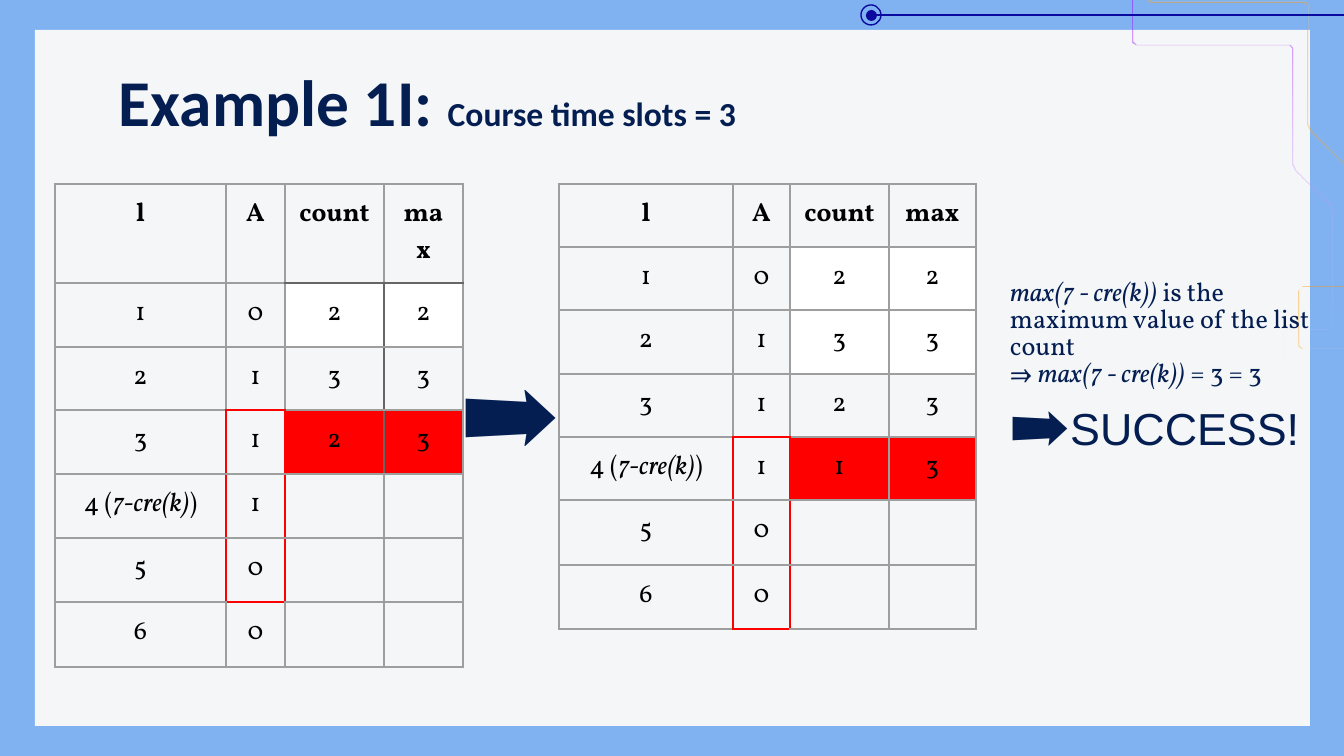
import pptx
import pptx.util
import pptx.dml.color
import pptx.enum.shapes
import pptx.enum.text
import pptx.oxml
import pptx.oxml.ns
from dataclasses import dataclass

PX = 914400 / 134.4
Shapes = pptx.enum.shapes.MSO_SHAPE
Align = pptx.enum.text.PP_ALIGN


@dataclass(frozen=True)
class Theme:
    sky: str = "80B2F1"
    paper: str = "F4F6F8"
    navy: str = "041E52"
    indigo: str = "0C0A9E"
    purple: str = "9900FF"
    orange: str = "FF9900"
    white: str = "FFFFFF"
    black: str = "000000"
    red: str = "FF0000"
    grid: str = "9E9E9E"
    dark_grid: str = "666666"
    head: str = "Calibri"
    body: str = "Vollkorn"
    plain: str = "Arial"
    title: int = 35
    subtitle: int = 18
    text: int = 14
    success: int = 24
    small_arrow: int = 31
    big_arrow: int = 51


T = Theme()

TITLE = [("Example 1I: ", T.title), ("Course time slots = 3", T.subtitle)]
HEADER = ["l", "A", "count", "max"]
LEVELS = ["1", "2", "3", ("4 (", "7-cre(k)", ")"), "5", "6"]
TABLES = [
    dict(x=55, y=184, cols=[171, 59, 99, 79], rows=[99, 64, 63, 64, 64, 64, 65],
         values=["022", "133", "123", "1", "0", "0"],
         white_rows=[1], red_row=3, dark_rows=[1, 2, 3]),
    dict(x=559, y=184, cols=[174, 57, 99, 87], rows=[63, 63, 64, 63, 63, 65, 64],
         values=["022", "133", "123", "113", "0", "0"],
         white_rows=[1, 2], red_row=4, dark_rows=[]),
]
NOTES = [
    [("max(7 - cre(k))", True), (" is the maximum value of the list count", False)],
    [("⇒ ", False), ("max(7 - cre(k))", True), (" = 3 = 3", False)],
]
TRACES = [
    (T.purple, 47, 0, [(1133, 1), (1133, 46), (1292, 46), (1292, 168), (1332, 208),
                       (1332, 330), (1283, 330), (1283, 391), (1332, 391)]),
    (T.orange, 41, 30, [(1148, 1), (1148, 3), (1307, 3), (1307, 127), (1343, 163)]),
    (T.orange, 41, 30, [(1343, 288), (1299, 288), (1299, 348), (1343, 348)]),
]


def emu(n):
    return pptx.util.Emu(round(n * PX))


def rgb(color):
    return pptx.dml.color.RGBColor.from_string(color)


def add_run(p, text, size, font=T.body, color=T.navy, bold=False, italic=False):
    r = p.add_run()
    r.text = text
    r.font.size = pptx.util.Pt(size)
    r.font.name = font
    r.font.color.rgb = rgb(color)
    r.font.bold = bold
    r.font.italic = italic


def add_text_box(s, x, y, w, h):
    tf = s.shapes.add_textbox(*map(emu, (x, y, w, h))).text_frame
    tf.word_wrap = True
    tf.margin_left = tf.margin_right = tf.margin_top = tf.margin_bottom = emu(13)
    return tf


def add_plain_shape(s, kind, x, y, w, h, fill=None, line=None):
    sp = s.shapes.add_shape(kind, *map(emu, (x, y, w, h)))
    sp.shadow.inherit = False
    if fill:
        sp.fill.solid()
        sp.fill.fore_color.rgb = rgb(fill)
    else:
        sp.fill.background()
    if line:
        sp.line.color.rgb = rgb(line)
        sp.line.width = pptx.util.Pt(0.75)
    else:
        sp.line.fill.background()


def soften(points, radius=3):
    result = [points[0]]
    for before, corner, after in zip(points, points[1:], points[2:]):
        for other in (before, after):
            dx, dy = other[0] - corner[0], other[1] - corner[1]
            step = min(radius / max(abs(dx), abs(dy)), 0.5)
            result.append((corner[0] + dx * step, corner[1] + dy * step))
    return result + [points[-1]]


def add_trace(s, color, start_alpha, end_alpha, points):
    side = soften(points)
    ribbon = side + [(x + 1, y - 1) for x, y in reversed(side)]
    fb = s.shapes.build_freeform(*ribbon[0], scale=PX)
    fb.add_line_segments(ribbon[1:], close=True)
    sp = fb.convert_to_shape()
    sp.shadow.inherit = False
    sp.line.fill.background()
    sp.fill.gradient()
    sp.fill.gradient_angle = 270
    stops = sp.fill.gradient_stops
    for stop, tone, alpha in zip(stops, (color, color if end_alpha else T.white),
                                 (start_alpha, end_alpha)):
        stop.color.rgb = rgb(tone)
    for node, alpha in zip(sp.element.iter(pptx.oxml.ns.qn("a:srgbClr")), (start_alpha, end_alpha)):
        node.append(pptx.oxml.parse_xml(
            f'<a:alpha {pptx.oxml.ns.nsdecls("a")} val="{alpha * 1000}"/>'))


def edge_colors(table):
    first = table["red_row"]
    edges = {("h", 1, c): T.dark_grid for c in (2, 3) if table["dark_rows"]}
    edges.update({("v", r, 3): T.dark_grid for r in table["dark_rows"]})
    edges.update({("v", r, c): T.red for r in range(first, first + 3) for c in (1, 2)})
    edges.update({("h", r, 1): T.red for r in (first, first + 3)})
    return edges


def set_borders(cell, r, c, edges):
    sides = [("L", ("v", r, c)), ("R", ("v", r, c + 1)),
             ("T", ("h", r, c)), ("B", ("h", r + 1, c))]
    tc_pr = cell._tc.get_or_add_tcPr()
    for i, (side, key) in enumerate(sides):
        tc_pr.insert(i, pptx.oxml.parse_xml(
            f'<a:ln{side} {pptx.oxml.ns.nsdecls("a")} w="19050"><a:solidFill>'
            f'<a:srgbClr val="{edges.get(key, T.grid)}"/></a:solidFill></a:ln{side}>'))


def add_count_table(s, table):
    cols, rows = table["cols"], table["rows"]
    grid = s.shapes.add_table(len(rows), len(cols), emu(table["x"]), emu(table["y"]),
                              emu(sum(cols)), emu(sum(rows))).table
    grid.first_row = grid.horz_banding = False
    for column, width in zip(grid.columns, cols):
        column.width = emu(width)
    content = [HEADER] + [[level, *values] for level, values in zip(LEVELS, table["values"])]
    edges = edge_colors(table)
    for r, texts in enumerate(content):
        grid.rows[r].height = emu(rows[r])
        for c in range(len(cols)):
            cell = grid.cell(r, c)
            cell.fill.background()
            if c >= 2 and (r in table["white_rows"] or r == table["red_row"]):
                cell.fill.solid()
                cell.fill.fore_color.rgb = rgb(T.red if r == table["red_row"] else T.white)
            set_borders(cell, r, c, edges)
            if c < len(texts):
                cell.margin_left = cell.margin_right = emu(13)
                cell.margin_top = cell.margin_bottom = emu(13)
                p = cell.text_frame.paragraphs[0]
                p.alignment = Align.CENTER
                parts = texts[c] if isinstance(texts[c], tuple) else (texts[c],)
                for i, part in enumerate(parts):
                    add_run(p, part, T.text, color=T.black, bold=r == 0, italic=i == 1)


prs = pptx.Presentation()
prs.slide_width, prs.slide_height = emu(1344), emu(756)
s = prs.slides.add_slide(prs.slide_layouts[6])
s.background.fill.solid()
s.background.fill.fore_color.rgb = rgb(T.sky)

add_plain_shape(s, Shapes.RECTANGLE, 35, 30, 1275, 696, fill=T.paper)
for trace in TRACES:
    add_trace(s, *trace)
add_plain_shape(s, Shapes.OVAL, 861, 5, 20, 20, line=T.indigo)
rail = s.shapes.add_connector(pptx.enum.shapes.MSO_CONNECTOR.STRAIGHT,
                              emu(1344), emu(15), emu(876), emu(15))
rail.line.color.rgb = rgb(T.indigo)
rail.line.width = pptx.util.Pt(0.75)
rail._element.spPr.append(pptx.oxml.parse_xml(f'<a:effectLst {pptx.oxml.ns.nsdecls("a")}/>'))
add_plain_shape(s, Shapes.OVAL, 866, 10, 11, 11, fill=T.indigo)

title = add_text_box(s, 106, 48, 1133, 94).paragraphs[0]
for text, size in TITLE:
    add_run(title, text, size, T.head, bold=True)

for table in TABLES:
    add_count_table(s, table)
add_run(add_text_box(s, 449, 337, 102, 114).paragraphs[0], "➡", T.big_arrow)

notes = add_text_box(s, 997, 267, 332, 195)
for i, parts in enumerate(NOTES):
    p = notes.add_paragraph() if i else notes.paragraphs[0]
    p.line_spacing = 0.86
    for text, italic in parts:
        add_run(p, text, T.text, italic=italic)
p = notes.add_paragraph()
add_run(p, "➡", T.small_arrow, T.plain)
add_run(p, "SUCCESS!", T.success, T.plain)

prs.save("out.pptx")
